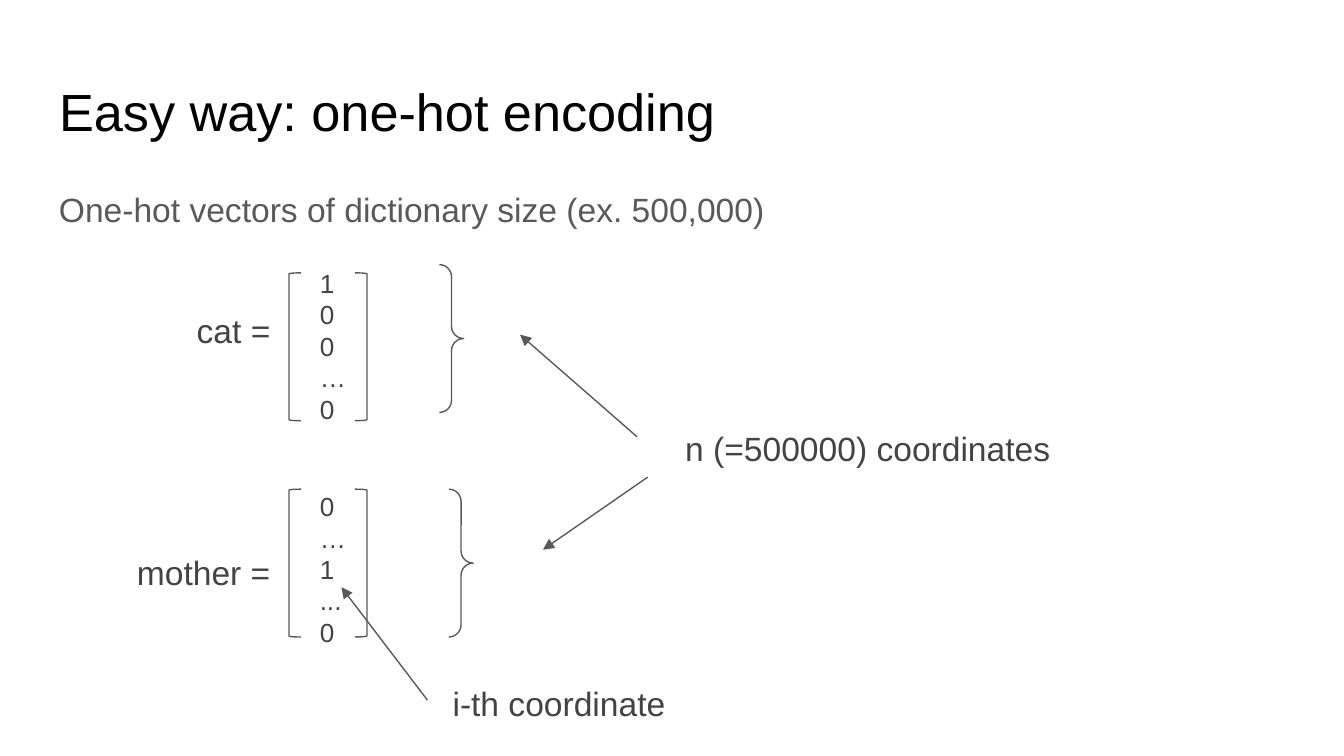
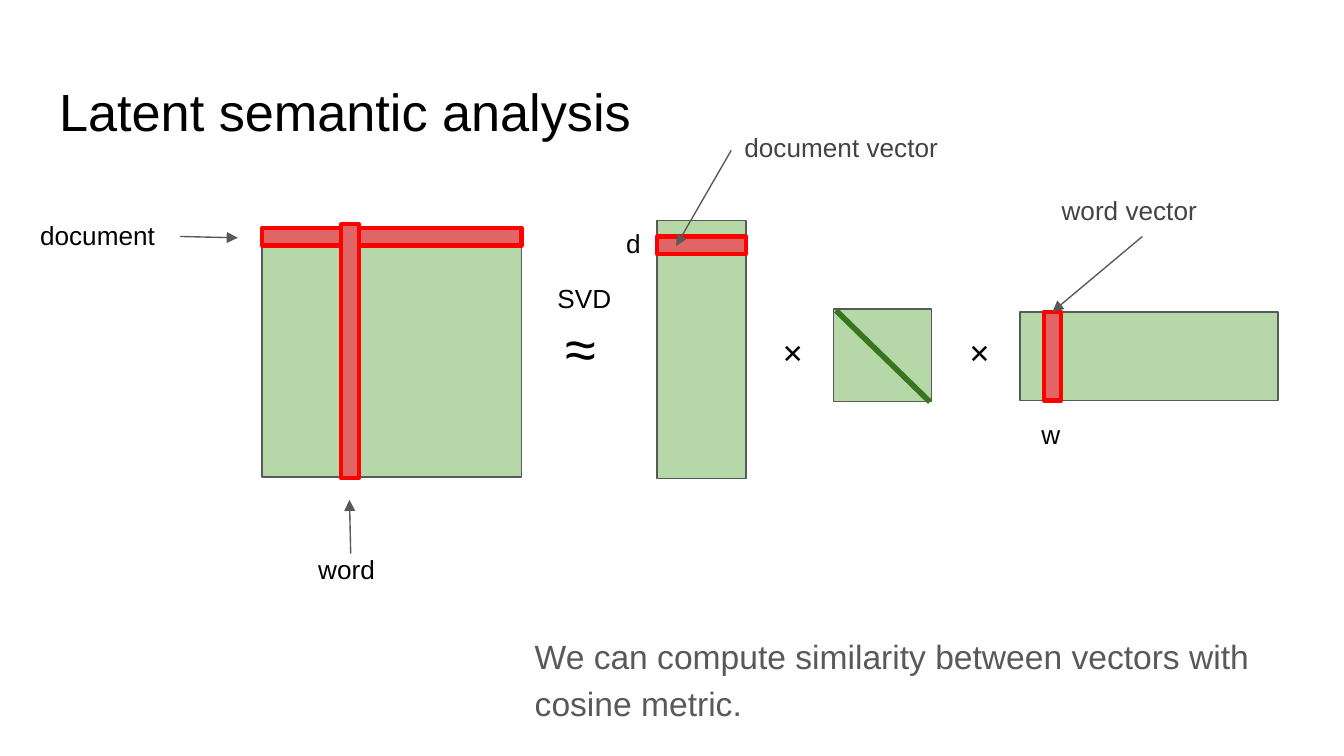
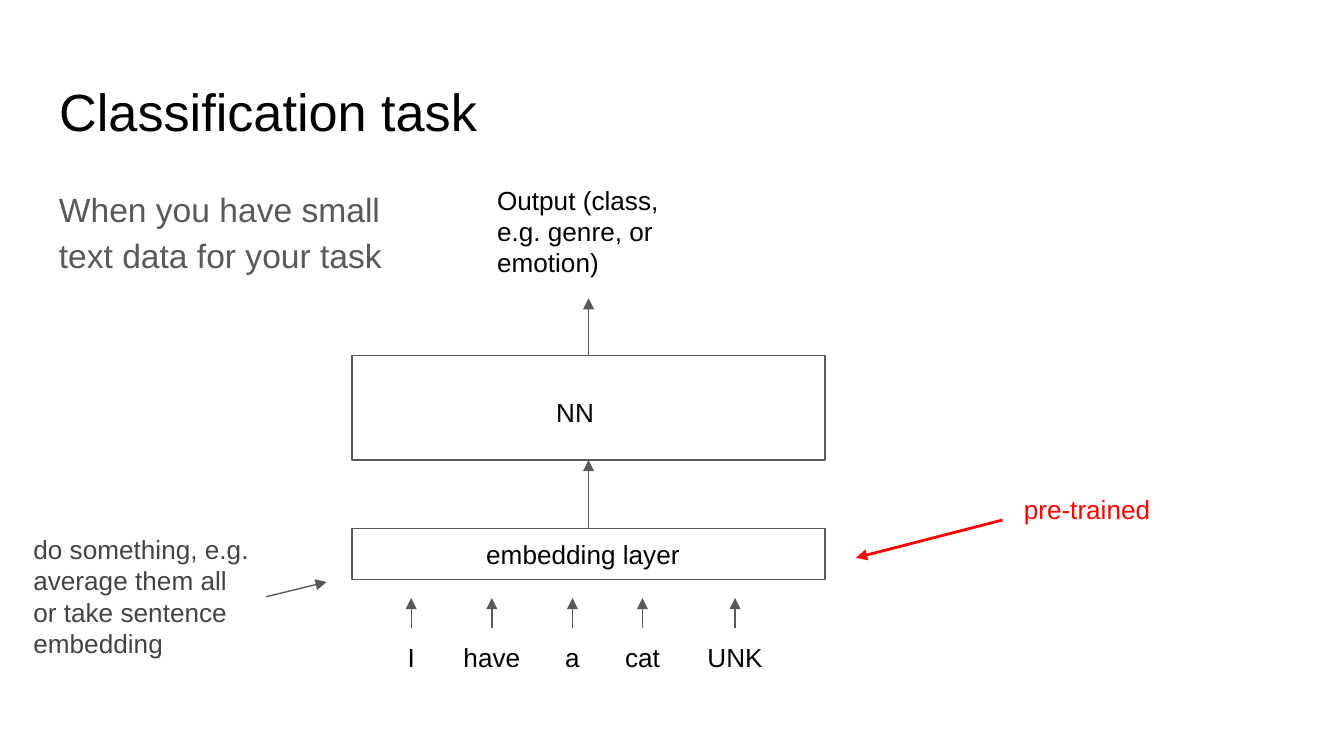
from lxml.etree import SubElement
from pptx import Presentation
from pptx.dml.color import RGBColor
from pptx.enum.shapes import MSO_CONNECTOR as Connector, MSO_SHAPE as Preset
from pptx.enum.text import MSO_ANCHOR as Anchor, MSO_AUTO_SIZE as AutoSize, PP_ALIGN as Align
from pptx.oxml.ns import qn
from pptx.util import Pt

BLACK = RGBColor(0x00, 0x00, 0x00)
WHITE = RGBColor(0xFF, 0xFF, 0xFF)
DARK = RGBColor(0x43, 0x43, 0x43)
GRAY = RGBColor(0x59, 0x59, 0x59)
RED = RGBColor(0xFF, 0x00, 0x00)
ROSE = RGBColor(0xE0, 0x66, 0x66)
LIGHT_GREEN = RGBColor(0xB6, 0xD7, 0xA8)
GREEN = RGBColor(0x38, 0x76, 0x1D)

FONT = "Arial"
TITLE_SIZE, BODY_SIZE, LABEL_SIZE = 28, 18, 14
INSET = 7.2
STRIPE = 9.4
TITLE_ONLY = 5


def points(*values):
    return [Pt(value) for value in values]


def write(frame, lines, size, color, align=Align.LEFT, spacing=None, before=0):
    """Fill a text frame, one paragraph a line; before is the gap between paragraphs."""
    frame.word_wrap = True
    frame.auto_size = AutoSize.NONE
    frame.vertical_anchor = Anchor.TOP
    frame.margin_left = frame.margin_right = Pt(INSET)
    frame.margin_top = frame.margin_bottom = Pt(INSET)
    for number, line in enumerate(lines):
        para = frame.add_paragraph() if number else frame.paragraphs[0]
        para.alignment = align
        para.space_before = Pt(before if number else 0)
        if spacing:
            para.line_spacing = spacing
        span = para.add_run()
        span.text = line
        span.font.name = FONT
        span.font.size = Pt(size)
        span.font.color.rgb = color


def add_page(deck, title):
    page = deck.slides.add_slide(deck.slide_layouts[TITLE_ONLY])
    holder = page.shapes.title
    holder.left, holder.top, holder.width, holder.height = points(24.5, 35.3, 671, 45.1)
    write(holder.text_frame, [title], TITLE_SIZE, BLACK)
    return page


def add_text(page, place, *lines, size=LABEL_SIZE, color=BLACK, **style):
    box = page.shapes.add_textbox(*points(*place))
    write(box.text_frame, lines, size, color, **style)


def add_body(page, place, text):
    add_text(page, place, text, size=BODY_SIZE, color=GRAY, spacing=1.15)


def add_outline(page, preset, place, *adjustments, fill=None, color=GRAY, weight=0.75):
    shape = page.shapes.add_shape(preset, *points(*place))
    shape.shadow.inherit = False
    if fill is None:
        shape.fill.background()
    else:
        shape.fill.solid()
        shape.fill.fore_color.rgb = fill
    shape.line.color.rgb = color
    shape.line.width = Pt(weight)
    for index, value in enumerate(adjustments):
        shape.adjustments[index] = value
    return shape


def add_matrix(page, place):
    return add_outline(page, Preset.RECTANGLE, place, fill=LIGHT_GREEN)


def add_stripe(page, place):
    return add_outline(page, Preset.RECTANGLE, place, fill=ROSE, color=RED, weight=2.25)


def add_layer(page, place):
    return add_outline(page, Preset.RECTANGLE, place, fill=WHITE)


def add_line(page, start, end, color=GRAY, weight=0.75):
    line = page.shapes.add_connector(Connector.STRAIGHT, *points(*start, *end))
    line.line.color.rgb = color
    line.line.width = Pt(weight)
    SubElement(line._element.spPr, qn("a:effectLst"))
    return line


def add_arrow(page, start, end, **style):
    arrow = add_line(page, start, end, **style)
    SubElement(arrow.line._get_or_add_ln(), qn("a:tailEnd"), type="triangle")
    return arrow


def add_vector(page, entries, text_top, bracket_top, brace_left, brace_top):
    """A column of entries in square brackets, with a brace to its right."""
    height = 79.2
    add_text(page, (164.2, text_top, 42.5, 92.2), *entries, color=DARK)
    for preset, left in ((Preset.LEFT_BRACKET, 154.8), (Preset.RIGHT_BRACKET, 190.1)):
        add_outline(page, preset, (left, bracket_top, 6.5, height), 0.08)
    add_outline(page, Preset.RIGHT_BRACE, (brace_left, brace_top, 13, height), 0.5, 0.5)


def one_hot_page(deck):
    page = add_page(deck, "Easy way: one-hot encoding")
    add_body(page, (24.5, 90.7, 401.8, 45.4),
             "One-hot vectors of dictionary size (ex. 500,000)")
    add_text(page, (60, 159, 92, 170), "cat =", "mother =",
             size=BODY_SIZE, color=DARK, align=Align.RIGHT, before=108)
    add_vector(page, ["1", "0", "0", "…", "0"], 136.1, 146.2, 235.4, 141.8)
    add_vector(page, ["0", "…", "1", "...", "0"], 255.6, 262.1, 240.5, 262.1)
    add_text(page, (360, 221.8, 213.8, 38.2), "n (=500000) coordinates",
             size=BODY_SIZE, color=DARK)
    add_text(page, (235.4, 358.6, 139, 38.2), "i-th coordinate",
             size=BODY_SIZE, color=DARK)
    add_arrow(page, (341.3, 234), (278.6, 179.3))
    add_arrow(page, (347, 255.6), (290.9, 294.5))
    add_arrow(page, (229, 375.1), (182.9, 314.6))


def latent_semantic_page(deck):
    page = add_page(deck, "Latent semantic analysis")

    add_matrix(page, (140.4, 121.7, 139, 133.9))
    add_stripe(page, (140.4, 122.2, 139, STRIPE))
    add_stripe(page, (182.9, 120.2, STRIPE, 136.1))
    add_text(page, (14.4, 110.2, 82.1, 33.8), "document")
    add_arrow(page, (96.5, 126.7), (127.4, 127.4))
    add_text(page, (163.4, 289.4, 48.2, 33.8), "word")
    add_arrow(page, (187.9, 296.6), (187.2, 267.8))

    add_text(page, (291.6, 144, 52.6, 40.3), "SVD")
    add_text(page, (295.9, 160.6, 47.5, 55.4), "≈", size=30)

    add_matrix(page, (352.1, 118.1, 47.5, 138.2))
    add_stripe(page, (352.1, 126.7, 47.5, STRIPE))
    add_text(page, (328.3, 114.5, 33.8, 33.8), "d")
    add_text(page, (391.7, 63.4, 126, 33.8), "document vector", color=DARK)
    add_arrow(page, (391.7, 80.6), (362.2, 131.8))

    for left in (411.8, 511.9):
        add_text(page, (left, 173.5, 31.7, 33.8), "✕")
    add_matrix(page, (446.4, 165.6, 52.6, 49.7))
    add_line(page, (447.8, 166.3), (498.2, 215.3), color=GREEN, weight=3)

    add_matrix(page, (546.5, 167.1, 138.2, 47.5))
    word_stripe = add_stripe(page, (559.1, 167.1, STRIPE, 47.5))
    add_text(page, (550.8, 216.7, 26.6, 33.8), "w")
    add_text(page, (561.6, 97.2, 101.5, 28.8), "word vector", color=DARK)
    add_arrow(page, (612, 126.7), (563.8, 167.1)).end_connect(word_stripe, 0)

    add_body(page, (279.4, 330.5, 420.5, 55.4),
             "We can compute similarity between vectors with cosine metric.")


def classification_page(deck):
    page = add_page(deck, "Classification task")
    add_body(page, (24.5, 90.7, 211, 56.2), "When you have small text data for your task")

    left, width = 188.6, 253.4
    middle = left + width / 2
    network = add_layer(page, (left, 190.3, width, 56.2))
    embedding = add_layer(page, (left, 283, width, 27.4))
    add_text(page, (290.9, 205.2, 64.8, 27.4), "NN")
    add_text(page, (253.4, 281.5, 139, 31.7), "embedding layer")
    add_text(page, (259.2, 91.4, 113, 56.2), "Output (class, e.g. genre, or emotion)")
    add_arrow(page, (middle, 190.3), (middle, 159.8)).begin_connect(network, 0)
    feed = add_arrow(page, (middle, 283), (middle, 246.5))
    feed.begin_connect(embedding, 0)
    feed.end_connect(network, 2)

    word_width = 60
    for word, center in (("I", 220.3), ("have", 263.5), ("a", 306.7),
                         ("cat", 344.2), ("UNK", 393.8)):
        add_text(page, (center - word_width / 2, 336.2, word_width, 33.8), word,
                 align=Align.CENTER)
        add_arrow(page, (center, 336.2), (center, 320.4))

    add_text(page, (541.4, 257, 168.5, 51.8), "pre-trained", color=RED)
    add_arrow(page, (537.1, 278.6), (458.6, 298.8), color=RED, weight=1.5)
    add_text(page, (10.8, 278.6, 131.8, 82.1),
             "do something, e.g. average them all or take sentence embedding", color=DARK)
    add_arrow(page, (142.6, 319.7), (175, 311.8))


def main():
    deck = Presentation()
    deck.slide_width, deck.slide_height = points(720, 405)
    one_hot_page(deck)
    latent_semantic_page(deck)
    classification_page(deck)
    deck.save("out.pptx")


if __name__ == "__main__":
    main()
